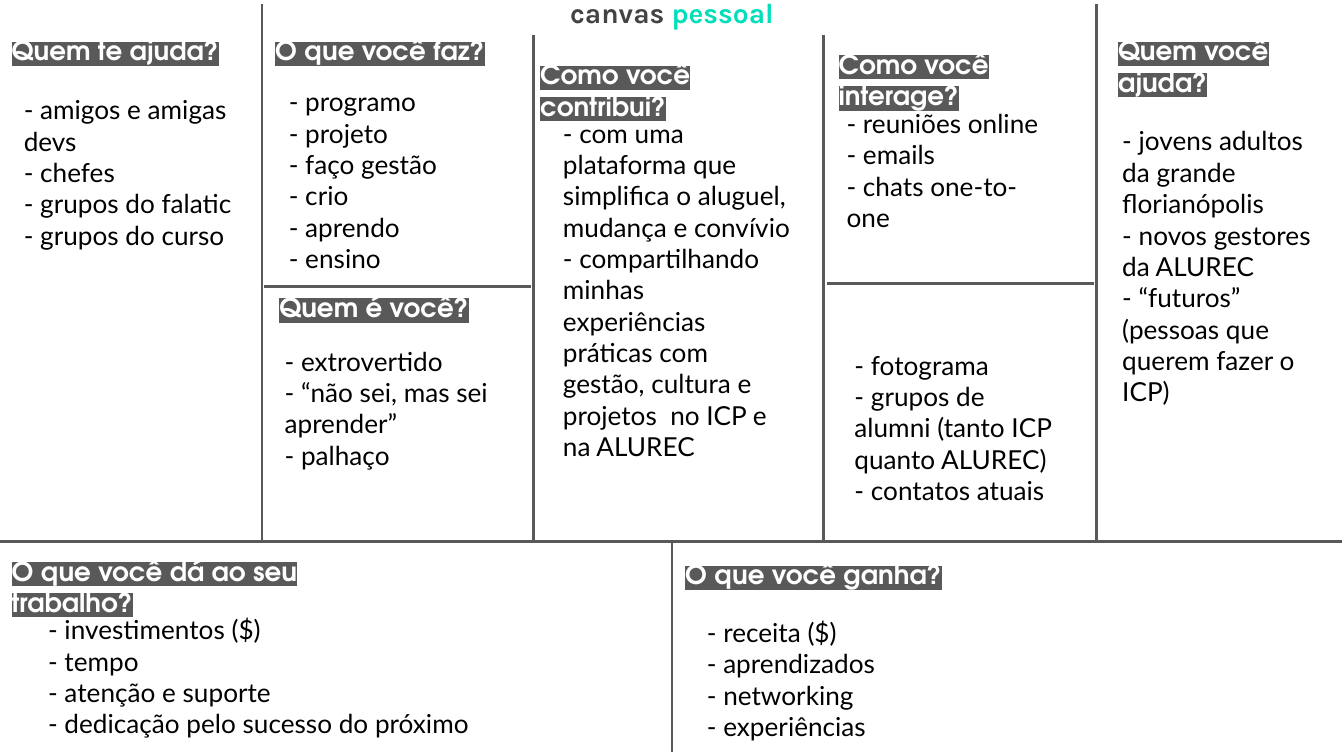
import pptx
import pptx.dml.color
import pptx.enum.shapes
import pptx.enum.text
import pptx.util
from lxml import etree
from pptx.oxml.ns import qn

Cm = pptx.util.Cm
FIT = pptx.enum.text.MSO_AUTO_SIZE
INK = {"rule": "595959", "dark": "434343", "mint": "00DEBA",
       "white": "FFFFFF", "black": "000000"}


def write(para, text, font="Lato", size=14, ink="black", bold=False, mark=None):
    """Add a run of text; mark is its highlight colour."""
    run = para.add_run()
    run.text = text
    face = run.font
    face.size = pptx.util.Pt(size)
    face.bold = bold
    face.color.rgb = pptx.dml.color.RGBColor.from_string(INK[ink])
    face.name = font
    if mark:
        glow = etree.Element(qn("a:highlight"))
        etree.SubElement(glow, qn("a:srgbClr"), val=INK[mark])
        run._r.rPr.find(qn("a:solidFill")).addnext(glow)


class Canvas:
    """Style and current slide."""

    pad = Cm(0.25)
    width = pptx.util.Pt(1.5)

    def __init__(self, deck):
        self.slide = deck.slides.add_slide(deck.slide_layouts[5])

    def frame(self, shape, fit):
        body = shape.text_frame
        body.word_wrap = True
        body.auto_size = fit
        body.vertical_anchor = pptx.enum.text.MSO_ANCHOR.TOP
        body.margin_left = body.margin_right = self.pad
        body.margin_top = body.margin_bottom = self.pad
        return body

    def title(self, parts, left, top, wide, high):
        shape = self.slide.shapes.title
        shape.left, shape.top = Cm(left), Cm(top)
        shape.width, shape.height = Cm(wide), Cm(high)
        para = self.frame(shape, FIT.NONE).paragraphs[0]
        para.alignment = pptx.enum.text.PP_ALIGN.CENTER
        for text, ink in parts:
            write(para, text, font="Karla", size=15, ink=ink, bold=True)

    def rule(self, *ends):
        line = self.slide.shapes.add_connector(
            pptx.enum.shapes.MSO_CONNECTOR.STRAIGHT, *map(Cm, ends))
        line.line.width = self.width
        line.line.color.rgb = pptx.dml.color.RGBColor.from_string(INK["rule"])
        etree.SubElement(line._element.spPr, qn("a:effectLst"))

    def text(self, lines, box, **look):
        shape = self.slide.shapes.add_textbox(*map(Cm, box))
        body = self.frame(shape, FIT.SHAPE_TO_FIT_TEXT)
        for i, line in enumerate(lines):
            para = body.add_paragraph() if i else body.paragraphs[0]
            write(para, line, **look)

    def head(self, text, box):
        self.text([text], box, font="TeX Gyre Adventor", ink="white",
                  bold=True, mark="rule")

    def items(self, lines, box):
        self.text(["- " + line for line in lines], box)


# Blocks: heading, its box, list items, their box (left, top, width, height)
BLOCKS = [
    ("Quem te ajuda?", (-0.03, 0.41, 4.98, 1.12),
     ["amigos e amigas devs", "chefes", "grupos do falatic",
      "grupos do curso"], (0.2, 1.52, 4.47, 4.11)),
    ("O que você faz?", (4.95, 0.41, 4.98, 1.12),
     ["programo", "projeto", "faço gestão", "crio", "aprendo", "ensino"],
     (5.21, 1.37, 4.47, 4.11)),
    ("Quem é você?", (5.03, 5.26, 4.98, 1.12),
     ["extrovertido", "“não sei, mas sei aprender”", "palhaço"],
     (5.13, 6.27, 4.67, 2.9)),
    ("Como você contribui?", (9.96, 0.86, 5.49, 1.12),
     ["com uma plataforma que simplifica o aluguel, mudança e convívio",
      "compartilhando minhas experiências práticas com gestão, cultura e "
      "projetos  no ICP e na ALUREC"], (10.39, 1.96, 4.85, 7.09)),
    ("Como você interage?", (15.6, 0.66, 4.98, 1.12),
     ["reuniões online", "emails", "chats one-to-one"],
     (15.75, 1.78, 4.47, 2.31)),
    (None, None,
     ["fotograma", "grupos de alumni (tanto ICP quanto ALUREC)",
      "contatos atuais"], (15.9, 6.35, 4.47, 3.51)),
    ("Quem você ajuda?", (20.88, 0.41, 4.47, 1.7),
     ["jovens adultos da grande florianópolis", "novos gestores da ALUREC",
      "“futuros” (pessoas que querem fazer o ICP)"],
     (20.96, 2.11, 4.47, 5.89)),
    ("O que você dá ao seu trabalho?", (-0.03, 10.24, 7.26, 1.12),
     ["investimentos ($)", "tempo", "atenção e suporte",
      "dedicação pelo sucesso do próximo"], (0.66, 11.35, 11.43, 2.9)),
    ("O que você ganha?", (12.7, 10.31, 7.26, 1.12),
     ["receita ($)", "aprendizados", "networking", "experiências"],
     (13.11, 11.4, 12.12, 2.9)),
]


def main():
    deck = pptx.Presentation()
    deck.slide_width, deck.slide_height = Cm(25.4), Cm(14.29)
    page = Canvas(deck)
    page.title([("canvas ", "dark"), ("pessoal", "mint")],
               8.99, -0.33, 7.42, 0.94)

    # Floor and the split below it
    floor = 10.24
    page.rule(-0.03, floor, 25.37, floor)
    page.rule(12.7, floor, 12.7, 14.22)

    # Column walls
    for x, top in [(4.95, 0.08), (10.08, 0.66), (15.57, 0.66), (20.73, 0.08)]:
        page.rule(x, top, x, floor)

    # Shelves inside columns
    for x, y in [(4.98, 5.41), (15.62, 5.36)]:
        page.rule(x, y, x + 5.05, y)

    # Headings and lists
    for name, spot, lines, box in BLOCKS:
        if name:
            page.head(name, spot)
        page.items(lines, box)

    deck.save("out.pptx")


if __name__ == "__main__":
    main()
